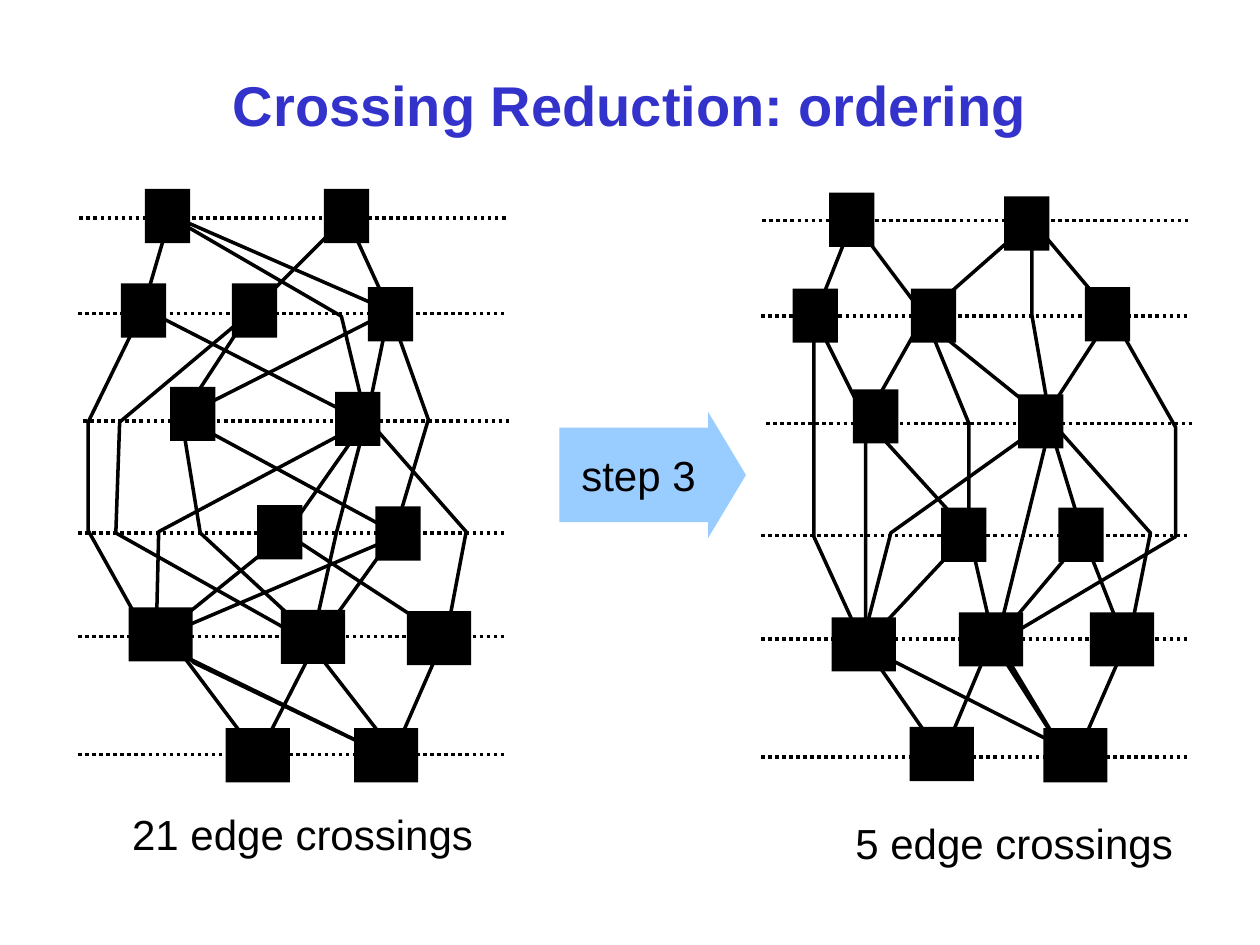
from lxml import etree
from pptx import Presentation
from pptx.dml.color import RGBColor
from pptx.enum.dml import MSO_LINE
from pptx.enum.shapes import MSO_CONNECTOR, MSO_SHAPE
from pptx.enum.text import MSO_ANCHOR, PP_ALIGN
from pptx.oxml.ns import qn
from pptx.util import Inches, Pt

COLORS = {"title": "3333CC", "ink": "000000", "arrow": "99CCFF"}
FONT = "Arial"
DOTTED = MSO_LINE.ROUND_DOT
STRAIGHT = MSO_CONNECTOR.STRAIGHT
RECTANGLE, RIGHT_ARROW = MSO_SHAPE.RECTANGLE, MSO_SHAPE.RIGHT_ARROW
MIDDLE, CENTER, LEFT = MSO_ANCHOR.MIDDLE, PP_ALIGN.CENTER, PP_ALIGN.LEFT

EDGE_WIDTH = 2
NODE_HEIGHT = 0.43
NARROW, WIDE = 0.36, 0.51
LEVEL_LENGTH = 3.39
LEVELS = [(0.63, 1.73), (0.62, 2.49), (0.66, 3.34),
          (0.62, 4.23), (0.62, 5.05), (0.62, 5.99)]

BEFORE = {
    "level_shift": (0, 0),
    "direct_edges": [((1.16, 2.46), (2.84, 3.32))],
    "edge_chains": [
        [(2.91, 3.32), (3.7, 4.22), (3.55, 5.01), (3.13, 5.97),
         (2.47, 5.12), (2.67, 4.23), (2.91, 3.32)],
        [(2.75, 1.72), (2, 2.47), (0.95, 3.35), (0.92, 4.23), (2.5, 5.12),
         (2.05, 6), (1.33, 5.04), (1.54, 5.26), (3.04, 5.98), (1.18, 5.07),
         (0.7, 4.21), (0.7, 3.35), (1.13, 2.47), (1.35, 1.72), (2.71, 2.51),
         (2.91, 3.34), (1.26, 4.22), (1.24, 5.07), (3.12, 4.27),
         (3.4, 3.33), (3.09, 2.46), (2.75, 1.72)],
        [(1.38, 1.72), (3.1, 2.47), (1.44, 3.31), (1.59, 4.23),
         (2.52, 5.09), (3.14, 4.23), (1.44, 3.31), (1.99, 2.47)],
        [(3.09, 2.46), (2.91, 3.33), (2.27, 4.24), (1.29, 5.03)],
        [(2.25, 4.22), (3.49, 5.03)],
    ],
    "narrow_nodes": [(2.57, 1.5), (1.15, 1.5), (2.92, 2.28), (1.84, 2.25),
                     (0.96, 2.25), (2.66, 3.11), (1.35, 3.07),
                     (2.04, 4.01), (2.98, 4.02)],
    "wide_nodes": [(3.23, 4.85), (1.02, 4.82), (2.23, 4.84),
                   (1.79, 5.78), (2.81, 5.78)],
}

AFTER = {
    "level_shift": (5.42, 0.02),
    "direct_edges": [((8.82, 2.5), (8.28, 3.33))],
    "edge_chains": [
        [(8.33, 3.33), (9.13, 4.23), (8.97, 5.03), (8.55, 5.99),
         (6.84, 5.12), (7.07, 4.23), (8.33, 3.33)],
        [(6.77, 1.75), (6.46, 2.53), (6.46, 4.26), (6.84, 5.09),
         (7.48, 6.01), (7.87, 5.08), (8.46, 6), (7.92, 5.1), (9.33, 4.26),
         (9.33, 3.39), (8.83, 2.51), (8.19, 1.75), (8.19, 2.5),
         (8.34, 3.36), (7.9, 5.14), (7.69, 4.23), (7.69, 3.36),
         (7.34, 2.51), (6.77, 1.75)],
        [(8.18, 1.76), (7.34, 2.5), (6.87, 3.33), (6.87, 5.11),
         (7.69, 4.23), (6.87, 3.33), (6.46, 2.51)],
        [(7.29, 2.51), (8.32, 3.34), (8.6, 4.26), (7.91, 5.08)],
        [(8.6, 4.26), (8.91, 5.05)],
    ],
    "narrow_nodes": [(6.58, 1.53), (7.97, 1.56), (7.23, 2.29), (6.29, 2.29),
                     (8.61, 2.28), (8.08, 3.13), (6.77, 3.09),
                     (7.47, 4.03), (8.4, 4.03)],
    "wide_nodes": [(8.65, 4.86), (7.61, 4.86), (6.6, 4.9),
                   (8.28, 5.78), (7.22, 5.77)],
}


def color(name):
    """Return the named colour."""
    return RGBColor.from_string(COLORS[name])


def style_edge(line):
    """Give a line the common edge colour and width."""
    line.color.rgb = color("ink")
    line.width = Pt(EDGE_WIDTH)


def add_line(slide, start, end, dash=None):
    """Draw a straight line between two points."""
    edge = slide.shapes.add_connector(
        STRAIGHT, *(Inches(value) for value in (*start, *end)))
    style_edge(edge.line)
    if dash is not None:
        edge.line.dash_style = dash
    etree.SubElement(edge._element.spPr, qn("a:effectLst"))


def add_edge_chain(slide, points):
    """Draw edges that follow one another as an open outline."""
    start, *rest = [(Inches(x), Inches(y)) for x, y in points]
    builder = slide.shapes.build_freeform(*start)
    builder.add_line_segments(rest, close=False)
    chain = builder.convert_to_shape()
    chain.fill.background()
    chain.shadow.inherit = False
    style_edge(chain.line)


def add_filled(slide, preset, box, fill):
    """Add a preset shape with a plain fill and no outline."""
    shape = slide.shapes.add_shape(preset, *(Inches(v) for v in box))
    shape.fill.solid()
    shape.fill.fore_color.rgb = color(fill)
    shape.line.fill.background()
    shape.shadow.inherit = False
    return shape


def write(shape, text, size, ink="ink", bold=False, align=LEFT, wrap=False):
    """Set and format the single line of text in a shape."""
    frame = shape.text_frame
    frame.text = text
    frame.word_wrap = wrap
    paragraph = frame.paragraphs[0]
    paragraph.alignment = align
    font = paragraph.runs[0].font
    font.name, font.size, font.bold = FONT, Pt(size), bold
    font.color.rgb = color(ink)


def add_label(slide, box, text, size=24, **style):
    """Add a text box with one line of text."""
    label = slide.shapes.add_textbox(*(Inches(v) for v in box))
    write(label, text, size, **style)
    return label


def add_graph(slide, graph):
    """Draw a layered graph: levels, edges, then nodes on top."""
    shift_x, shift_y = graph["level_shift"]
    for left, top in LEVELS:
        x, y = left + shift_x, top + shift_y
        add_line(slide, (x, y), (x + LEVEL_LENGTH, y), DOTTED)
    for start, end in graph["direct_edges"]:
        add_line(slide, start, end)
    for points in graph["edge_chains"]:
        add_edge_chain(slide, points)
    for nodes, width in (("narrow_nodes", NARROW), ("wide_nodes", WIDE)):
        for left, top in graph[nodes]:
            add_filled(slide, RECTANGLE, (left, top, width, NODE_HEIGHT), "ink")


def add_step_arrow(slide):
    """Add the block arrow between the two graphs."""
    arrow = add_filled(slide, RIGHT_ARROW, (4.44, 3.27, 1.48, 1), "arrow")
    arrow.adjustments[0] = 0.75
    arrow.adjustments[1] = 0.3
    write(arrow, "step 3", 24, align=CENTER)
    arrow.text_frame.vertical_anchor = MIDDLE


def main():
    """Build the slide and save it."""
    deck = Presentation()
    deck.slide_width, deck.slide_height = Inches(10), Inches(7.5)
    slide = deck.slides.add_slide(deck.slide_layouts[6])
    title = add_label(slide, (0.75, 0.33, 8.5, 1),
                      "Crossing Reduction: ordering", size=32,
                      ink="title", bold=True, align=CENTER, wrap=True)
    title.text_frame.vertical_anchor = MIDDLE
    add_graph(slide, BEFORE)
    add_label(slide, (0.95, 6.37, 2.91, 0.5), "21 edge crossings")
    add_step_arrow(slide)
    add_graph(slide, AFTER)
    add_label(slide, (6.69, 6.44, 2.72, 0.5), "5 edge crossings")
    deck.save("out.pptx")


if __name__ == "__main__":
    main()
